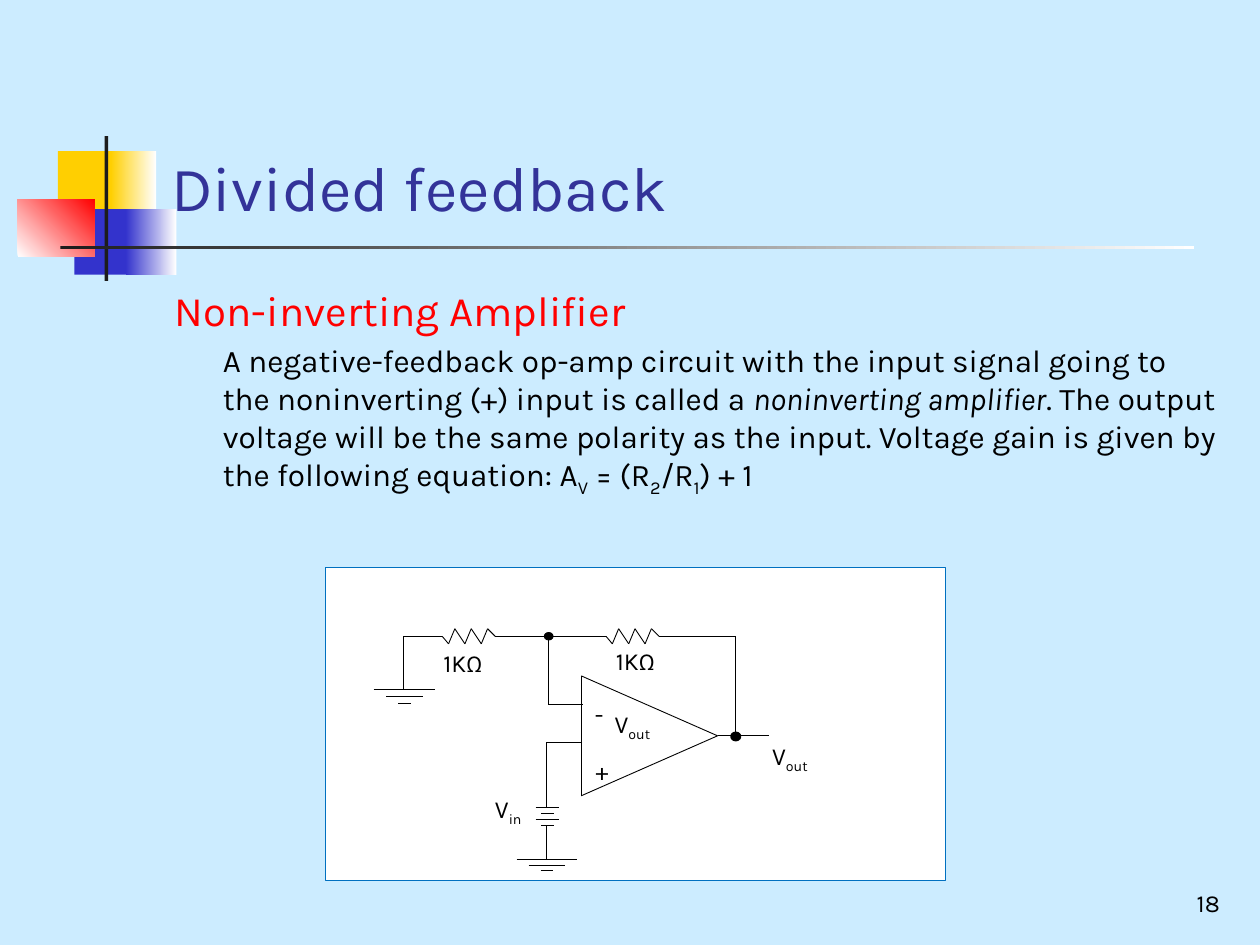
from itertools import pairwise

from lxml import etree
from pptx import Presentation
from pptx.dml.color import RGBColor
from pptx.enum.shapes import MSO_CONNECTOR, MSO_SHAPE as Shape
from pptx.enum.text import MSO_ANCHOR as Anchor, MSO_AUTO_SIZE as AutoSize, PP_ALIGN as Align
from pptx.oxml.ns import qn
from pptx.util import Inches, Pt

rgb = RGBColor.from_string
FONT = "Karla"


def add_runs(paragraph, size, color, *pieces):
    """Each piece is its text and a style: "", "italic" or "sub"."""
    for text, style in pieces:
        run = paragraph.add_run()
        run.text = text
        run.font.name = FONT
        run.font.size = Pt(size)
        run.font.color.rgb = rgb(color)
        if style == "italic":
            run.font.italic = True
        elif style == "sub":
            run.font._element.set("baseline", "-25000")


def add_wire(*points):
    """Join the points with straight thin black lines."""
    for start, end in pairwise(points):
        wire = slide.shapes.add_connector(
            MSO_CONNECTOR.STRAIGHT, *(Inches(value) for value in start + end))
        wire.line.color.rgb = rgb("000000")
        wire.line.width = Pt(0.5)
        etree.SubElement(wire._element.spPr, qn("a:effectLst"))


presentation = Presentation()
presentation.slide_width = Inches(10)
presentation.slide_height = Inches(7.5)
slide = presentation.slides.add_slide(presentation.slide_layouts[5])
slide.background.fill.solid()
slide.background.fill.fore_color.rgb = rgb("CCECFF")

# Decoration and white panel: place, first colour, second colour, angle
blocks = [
    ((0.46, 1.2, 0.48, 0.52), "FFCF01", None, 0),
    ((0.88, 1.2, 0.36, 0.52), "FFCF01", "FFFFFF", 0),
    ((0.59, 1.66, 0.46, 0.52), "3333CC", None, 0),
    ((1, 1.66, 0.4, 0.52), "3333CC", "FFFFFF", 0),
    ((0.14, 1.58, 0.61, 0.46), "FFFFFF", "FF0000", 45),
    ((0.83, 1.08, 0.03, 1.15), "1C1C1C", None, 0),
    ((0.48, 1.95, 9, 0.03), "1C1C1C", "FFFFFF", 0),
    ((2.58, 4.5, 4.92, 2.49), "FFFFFF", None, 0),
]
for place, first, second, angle in blocks:
    block = slide.shapes.add_shape(Shape.RECTANGLE, *map(Inches, place))
    block.shadow.inherit = False
    block.line.fill.background()
    if second:
        block.fill.gradient()
        block.fill.gradient_angle = angle
        for stop, color in zip(block.fill.gradient_stops, (first, second)):
            stop.color.rgb = rgb(color)
    else:
        block.fill.solid()
        block.fill.fore_color.rgb = rgb(first)
panel = block
panel.line.color.rgb = rgb("0070C0")
panel.line.width = Pt(0.25)

# Title, brought in front of the decoration
title = slide.shapes.title
title.left, title.top, title.width, title.height = map(Inches, (1.26, 0.23, 8.52, 1.6))
title.text_frame.auto_size = AutoSize.NONE
title.text_frame.vertical_anchor = Anchor.BOTTOM
title.text_frame.paragraphs[0].alignment = Align.LEFT
add_runs(title.text_frame.paragraphs[0], 36, "333399", ("Divided feedback", ""))
slide.shapes.element.append(title.element)

# Body text
body = slide.shapes.add_textbox(*map(Inches, (1.29, 2.21, 8.5, 4.88))).text_frame
body.word_wrap = True
add_runs(body.paragraphs[0], 24, "FF0000", ("Non-inverting Amplifier", ""))
explanation = body.add_paragraph()
explanation.space_before = Pt(3.6)
explanation._p.get_or_add_pPr().set("marL", str(Inches(0.38)))
add_runs(
    explanation, 18, "000000",
    ("A negative-feedback op-amp circuit with the input signal going to the "
     "noninverting (+) input is called a ", ""),
    ("noninverting amplifier", "italic"),
    (". The output voltage will be the same polarity as the input. "
     "Voltage gain is given by the following equation: A", ""),
    ("V", "sub"), (" = (R", ""), ("2", "sub"), ("/R", ""), ("1", "sub"), (") + 1", ""))

# Resistors
zigzag = [(0, 0), (0.05, 0.06), (0.1, -0.06), (0.18, 0.06), (0.23, -0.06),
          (0.31, 0.06), (0.36, -0.06), (0.42, 0)]
for left in (3.51, 4.81):
    add_wire(*((left + x, 5.05 + y) for x, y in zigzag))

# Wires: ground to R1, R1 to R2, feedback, the two inputs, output
add_wire((3.51, 5.05), (3.2, 5.05), (3.2, 5.47))
add_wire((3.93, 5.05), (4.81, 5.05))
add_wire((5.23, 5.05), (5.84, 5.05), (5.84, 5.84))
add_wire((4.35, 5.05), (4.35, 5.59), (4.63, 5.59))
add_wire((4.62, 5.89), (4.34, 5.89), (4.34, 6.41))
add_wire((4.34, 6.55), (4.34, 6.82))
add_wire((5.7, 5.84), (6.1, 5.84))

# Ground and battery bars: centre, top, gap, widths
for center, top, gap, widths in [
    (3.21, 5.47, 0.055, (0.49, 0.29, 0.1)),
    (4.34, 6.82, 0.045, (0.48, 0.29, 0.1)),
    (4.345, 6.41, 0.047, (0.19, 0.1, 0.19, 0.1)),
]:
    for row, width in enumerate(widths):
        y = top + row * gap
        add_wire((center - width / 2, y), (center + width / 2, y))

# Op-amp and junction dots
for kind, place, rotation, line_width in [
    (Shape.ISOSCELES_TRIANGLE, (4.68, 5.3, 0.95, 1.08), 90, 0.5),
    (Shape.OVAL, (4.32, 5.02, 0.07, 0.06), 0, 0.5),
    (Shape.OVAL, (5.81, 5.82, 0.06, 0.05), 0, 2),
]:
    part = slide.shapes.add_shape(kind, *map(Inches, place))
    part.shadow.inherit = False
    part.rotation = rotation
    part.line.color.rgb = rgb("000000")
    part.line.width = Pt(line_width)
    if kind == Shape.OVAL:
        part.fill.solid()
        part.fill.fore_color.rgb = rgb("000000")
    else:
        part.fill.background()

# Labels and slide number: place, text, subscript, wrap
for place, text, subscript, wrap in [
    ((4.64, 5.5, 0.18, 0.19), "-", "", False),
    ((4.63, 5.95, 0.2, 0.19), "+", "", False),
    ((3.42, 5.09, 0.56, 0.34), "1KΩ", "", False),
    ((4.79, 5.08, 0.56, 0.34), "1KΩ", "", False),
    ((3.83, 6.25, 0.47, 0.34), "V", "in", True),
    ((4.78, 5.58, 0.64, 0.34), "V", "out", True),
    ((6.03, 5.83, 0.64, 0.34), "V", "out", True),
    ((7.7, 6.83, 2.08, 0.5), "18", "", True),
]:
    label = slide.shapes.add_textbox(*map(Inches, place)).text_frame
    label.word_wrap = wrap
    pieces = [(text, "")] + ([(subscript, "sub")] if subscript else [])
    add_runs(label.paragraphs[0], 14, "000000", *pieces)
slide_number = label
slide_number.vertical_anchor = Anchor.BOTTOM
slide_number.paragraphs[0].alignment = Align.RIGHT

presentation.save("out.pptx")
